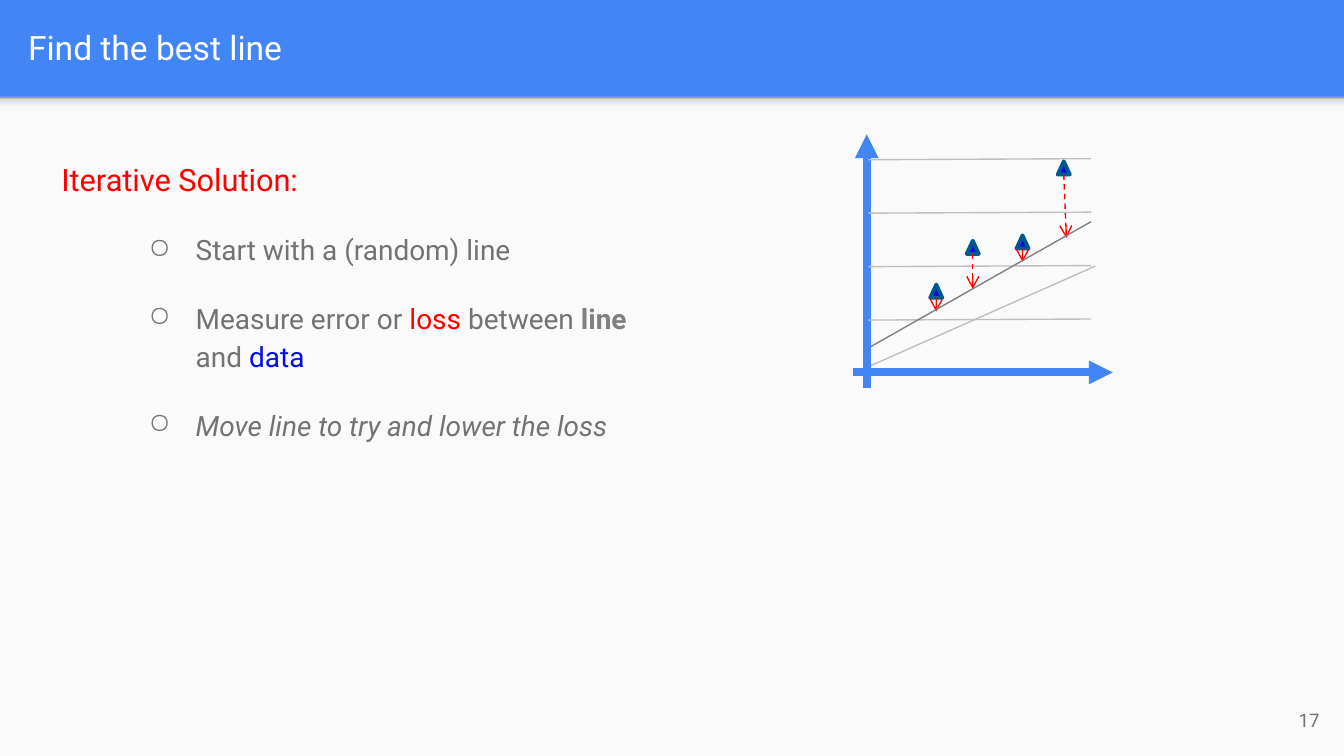
import copy
import dataclasses

import lxml.etree
import pptx
import pptx.dml.color
import pptx.enum.dml
import pptx.enum.shapes
import pptx.enum.text
import pptx.oxml.ns
import pptx.util

Cm = pptx.util.Cm
Pt = pptx.util.Pt
qn = pptx.oxml.ns.qn
SHAPES = pptx.enum.shapes.MSO_SHAPE
ALIGN = pptx.enum.text.PP_ALIGN
ANCHOR = pptx.enum.text.MSO_ANCHOR


@dataclasses.dataclass(frozen=True)
class Theme:
    font: str = "Roboto"
    blue: str = "4285F4"
    panel: str = "FAFAFA"
    white: str = "FFFFFF"
    text: str = "737373"
    red: str = "FF0000"
    data: str = "030EE3"
    data_edge: str = "01588C"
    line: str = "808080"
    grid: str = "BFBFBF"
    shade: tuple = ((0, "F9F9F9"), (0.36, "F9F9F9"), (0.8, "DEDEDE"), (1, "999999"))
    title_size: float = 18
    heading_size: float = 16.5
    body_size: float = 15
    number_size: float = 10
    axis_width: float = 4.25
    thin_width: float = 0.75
    edge_width: float = 2


THEME = Theme()


def rgb(value):
    return pptx.dml.color.RGBColor.from_string(value)


def apply(target, values):
    for name, value in values.items():
        setattr(target, name, value)


def format_frame(box, anchor=ANCHOR.TOP):
    margins = ("margin_left", "margin_top", "margin_right", "margin_bottom")
    apply(box.text_frame, {
        "word_wrap": True,
        "auto_size": pptx.enum.text.MSO_AUTO_SIZE.NONE,
        "vertical_anchor": anchor,
        **dict.fromkeys(margins, Cm(0.25)),
    })


def add_span(para, text, size, color, **styles):
    span = para.add_run()
    span.text = text
    apply(span.font, {"name": THEME.font, "size": Pt(size), **styles})
    span.font.color.rgb = rgb(color)


def add_box(page, left, top, width, height, anchor=ANCHOR.TOP):
    box = page.shapes.add_textbox(Cm(left), Cm(top), Cm(width), Cm(height))
    format_frame(box, anchor)
    return box


def add_bullet(box, spans):
    para = box.text_frame.add_paragraph()
    properties = para._p.get_or_add_pPr()
    properties.set("marL", str(Cm(2.54)))
    properties.set("indent", str(Cm(-0.89)))
    bullet_color = lxml.etree.SubElement(properties, qn("a:buClr"))
    lxml.etree.SubElement(bullet_color, qn("a:srgbClr"), val=THEME.text)
    lxml.etree.SubElement(properties, qn("a:buChar"), char="○")
    apply(para, {"level": 1, "line_spacing": 1.15, "space_before": Pt(16)})
    for text, color, styles in spans:
        add_span(para, text, THEME.body_size, color, **styles)


def add_shape(page, kind, left, top, width, height, color):
    shape = page.shapes.add_shape(kind, Cm(left), Cm(top), Cm(width), Cm(height))
    shape.shadow.inherit = False
    shape.fill.solid()
    shape.fill.fore_color.rgb = rgb(color)
    shape.line.fill.background()
    return shape


def shade(shape):
    shape.fill.gradient()
    shape.fill.gradient_angle = 90
    stop_list = shape._element.spPr.find(qn("a:gradFill")).find(qn("a:gsLst"))
    for _ in THEME.shade[len(stop_list):]:
        stop_list.append(copy.deepcopy(stop_list[0]))
    for stop, (position, color) in zip(shape.fill.gradient_stops, THEME.shade):
        stop.position = position
        stop.color.rgb = rgb(color)


def add_line(page, start, end, color, width=THEME.thin_width, arrow=None, dashed=False):
    points = [Cm(value) for value in (*start, *end)]
    line = page.shapes.add_connector(pptx.enum.shapes.MSO_CONNECTOR.STRAIGHT, *points)
    line.line.color.rgb = rgb(color)
    line.line.width = Pt(width)
    if dashed:
        line.line.dash_style = pptx.enum.dml.MSO_LINE.DASH
    properties = line._element.spPr
    if arrow:
        lxml.etree.SubElement(properties.find(qn("a:ln")), qn("a:tailEnd"), type=arrow)
    lxml.etree.SubElement(properties, qn("a:effectLst"))


def add_title(page):
    title = page.shapes.title
    apply(title, {"left": Cm(0.28), "top": Cm(0.05), "width": Cm(24.51), "height": Cm(1.68)})
    format_frame(title, ANCHOR.MIDDLE)
    para = title.text_frame.paragraphs[0]
    para.alignment = ALIGN.LEFT
    add_span(para, "Find the best line", THEME.title_size, THEME.white)


def add_number(page):
    box = add_box(page, 23.67, 13.06, 1.52, 1.09, ANCHOR.MIDDLE)
    para = box.text_frame.paragraphs[0]
    para.alignment = ALIGN.RIGHT
    add_span(para, "17", THEME.number_size, THEME.text)


def add_steps(page):
    box = add_box(page, 0.91, 2.69, 11.46, 9.75)
    heading = box.text_frame.paragraphs[0]
    heading.line_spacing = 1.15
    add_span(heading, "Iterative Solution:", THEME.heading_size, THEME.red)
    steps = [
        [("Start with a (random) line", THEME.text, {})],
        [
            ("Measure error or ", THEME.text, {}),
            ("loss", THEME.red, {}),
            (" between ", THEME.text, {}),
            ("line", THEME.line, {"bold": True}),
            (" and ", THEME.text, {}),
            ("data", THEME.data, {}),
        ],
        [("Move line to try and lower the loss", THEME.text, {"italic": True})],
    ]
    for spans in steps:
        add_bullet(box, spans)


def add_plot(page):
    add_line(page, (16.13, 7.04), (21.03, 7.04), THEME.blue, THEME.axis_width, "triangle")
    add_line(page, (16.38, 7.34), (16.38, 2.54), THEME.blue, THEME.axis_width, "triangle")
    for row in range(4):
        height = 6.05 - 1.01 * row
        add_line(page, (16.41, height), (20.62, height - 0.02), THEME.grid)

    marker_width, marker_height = 0.23, 0.25
    points = [
        (17.58, 5.38, 0, 0.26),
        (18.27, 4.55, 0, 0.66),
        (19.21, 4.45, 0, 0.25),
        (19.99, 3.05, 0.05, 1.2),
    ]
    for left, top, _, _ in points:
        marker = add_shape(page, SHAPES.ISOSCELES_TRIANGLE, left, top,
                           marker_width, marker_height, THEME.data)
        marker.line.color.rgb = rgb(THEME.data_edge)
        marker.line.width = Pt(THEME.edge_width)
    add_line(page, (16.46, 6.91), (20.7, 5.03), THEME.grid)
    for left, top, lean, error in points:
        x, y = left + marker_width / 2, top + marker_height
        add_line(page, (x, y), (x + lean, y + error), THEME.red, arrow="arrow", dashed=True)
    add_line(page, (16.46, 6.55), (20.62, 4.19), THEME.line)


def main():
    deck = pptx.Presentation()
    apply(deck, {"slide_width": Cm(25.4), "slide_height": Cm(14.29)})
    page = deck.slides.add_slide(deck.slide_layouts[5])
    page.background.fill.solid()
    page.background.fill.fore_color.rgb = rgb(THEME.blue)
    add_shape(page, SHAPES.RECTANGLE, 0, 1.83, 25.4, 12.46, THEME.panel)
    shade(add_shape(page, SHAPES.RECTANGLE, 0, 1.83, 25.4, 0.3, THEME.panel))
    add_title(page)
    add_number(page)
    add_plot(page)
    add_steps(page)
    deck.save("out.pptx")


if __name__ == "__main__":
    main()
